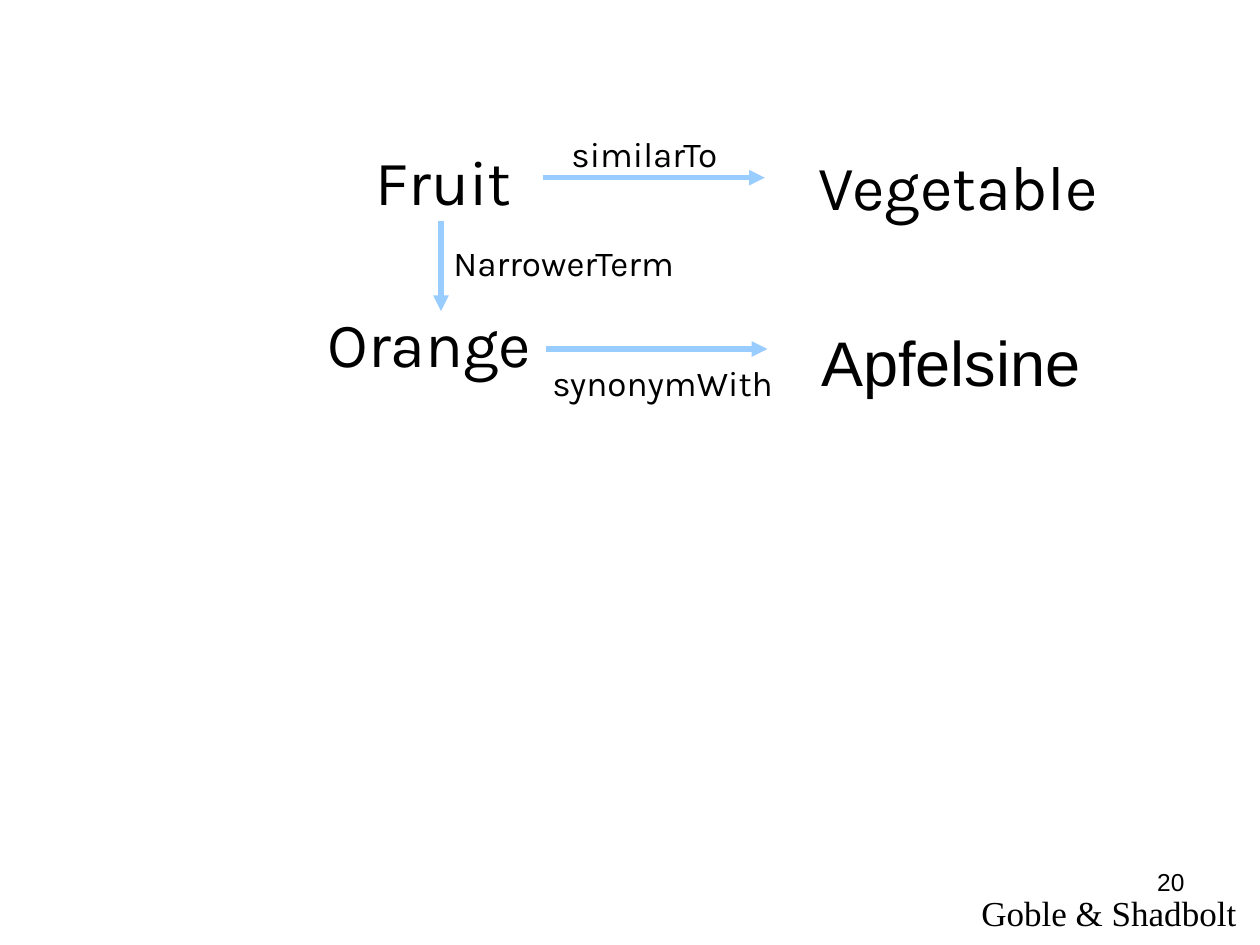
import dataclasses

import lxml.etree
import pptx
import pptx.dml.color
import pptx.enum.shapes
import pptx.enum.text
import pptx.oxml.ns
import pptx.util

Inches = pptx.util.Inches
ALIGN = pptx.enum.text.PP_ALIGN


@dataclasses.dataclass(frozen=True)
class Theme:
    ink: str = "000000"
    arrow: str = "99CCFF"
    term: int = 36
    label: int = 20
    page: int = 14
    stroke: int = 3
    main: str = "Karla"
    plain: str = "Arial"
    serif: str = "Times New Roman"


THEME = Theme()


def paint(text):
    return pptx.dml.color.RGBColor.from_string(text)


def add_text(slide, words, box, size, font=THEME.main, align=ALIGN.LEFT, wrap=True, grow=True):
    frame = slide.shapes.add_textbox(*map(Inches, box)).text_frame
    frame.word_wrap = wrap
    fit = pptx.enum.text.MSO_AUTO_SIZE
    frame.auto_size = fit.SHAPE_TO_FIT_TEXT if grow else fit.NONE
    line = frame.paragraphs[0]
    line.alignment = align
    run = line.add_run()
    run.text = words
    run.font.size = pptx.util.Pt(size)
    run.font.name = font
    run.font.color.rgb = paint(THEME.ink)


def add_arrow(slide, start, end):
    kind = pptx.enum.shapes.MSO_CONNECTOR.STRAIGHT
    arrow = slide.shapes.add_connector(kind, *map(Inches, start + end))
    arrow.line.color.rgb = paint(THEME.arrow)
    arrow.line.width = pptx.util.Pt(THEME.stroke)
    name = pptx.oxml.ns.qn
    lxml.etree.SubElement(arrow.line._get_or_add_ln(), name("a:tailEnd"), type="triangle")
    lxml.etree.SubElement(arrow._element.spPr, name("a:effectLst"))


def add_term(slide, words, box, font=THEME.main, wrap=True):
    add_text(slide, words, box, THEME.term, font, wrap=wrap)


def add_label(slide, words, box, align=ALIGN.CENTER):
    add_text(slide, words, box, THEME.label, align=align)


def main():
    deck = pptx.Presentation()
    deck.slide_width, deck.slide_height = Inches(10), Inches(7.5)
    slide = deck.slides.add_slide(deck.slide_layouts[6])

    add_term(slide, "Fruit", (2.88, 1.08, 1.28, 0.7), wrap=False)
    add_arrow(slide, (3.5, 1.75), (3.5, 2.47))
    add_term(slide, "Orange", (2.5, 2.37, 2.25, 0.7))
    add_arrow(slide, (4.31, 1.41), (6.07, 1.41))
    add_term(slide, "Vegetable", (6.4, 1.12, 2.51, 1.3))
    add_label(slide, "similarTo", (4.25, 1, 1.73, 0.44))
    add_term(slide, "Apfelsine", (6.42, 2.52, 3.24, 0.7), THEME.plain)
    add_arrow(slide, (4.33, 2.77), (6.09, 2.77))
    add_label(slide, "synonymWith", (4.08, 2.82, 2.36, 0.44))
    add_label(slide, "NarrowerTerm", (3.5, 1.87, 2.39, 0.44), ALIGN.LEFT)

    add_text(slide, "Goble & Shadbolt", (7.69, 7.03, 2.3, 0.44), THEME.label, THEME.serif)
    add_text(slide, "20", (7.17, 6.83, 2.33, 0.52), THEME.page, THEME.plain,
             ALIGN.RIGHT, grow=False)
    deck.save("out.pptx")


if __name__ == "__main__":
    main()
